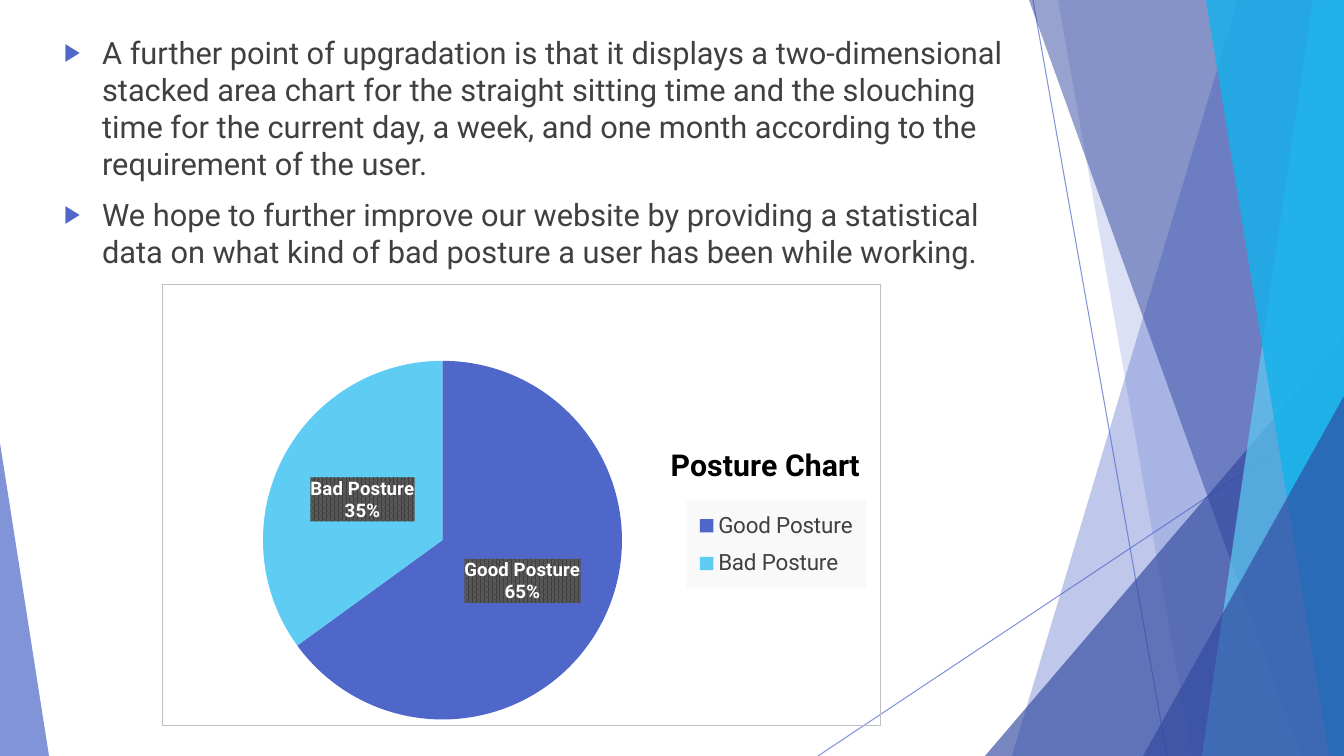
"""Posture slide: two bullet points, a pie chart and a faceted side decoration."""
from lxml import etree
from pptx import Presentation
from pptx import util as u
from pptx.chart.data import CategoryChartData
from pptx.dml.color import RGBColor
from pptx.enum import chart as ch, shapes, text
from pptx.oxml import parse_xml
from pptx.oxml.ns import nsdecls, qn

WIDTH, HEIGHT = 1344, 756
COLORS = {
    "indigo": "4E67C8", "navy": "31489F", "sky": "5ECCF3", "cyan": "12B2EB",
    "ink": "404040", "gray": "595959", "black": "000000", "white": "FFFFFF",
    "border": "BFBFBF", "legend": "F9F9F9",
}
BULLETS = [
    "A further point of upgradation is that it displays a two-dimensional stacked area chart "
    "for the straight sitting time and the slouching time for the current day, a week, and one "
    "month according to the requirement of the user.",
    "We hope to further improve our website by providing a statistical data on what kind of bad "
    "posture a user has been while working.",
]
POSTURES = {"Good Posture": (0.65, "indigo"), "Bad Posture": (0.35, "sky")}


def px(length):
    """Turn slide pixels into EMU."""
    return u.Emu(round(length * 12192000 / WIDTH))


def rgb(name):
    """Look up a named colour."""
    return RGBColor.from_string(COLORS[name])


def style_font(font, size, color, bold=False):
    """Format a font."""
    font.name, font.size, font.bold = "Roboto", u.Pt(size), bold
    font.color.rgb = rgb(color)


def write(paragraph, words, **style):
    """Add a formatted run to a paragraph."""
    run = paragraph.add_run()
    run.text = words
    style_font(run.font, **style)


def chart_fill(fill, line="<a:noFill/>"):
    """Build shape properties for a chart part."""
    return parse_xml(f'<c:spPr {nsdecls("c", "a")}>{fill}<a:ln w="9525">{line}</a:ln></c:spPr>')


def solid(name):
    """Build a solid fill element as text."""
    return f'<a:solidFill><a:srgbClr val="{COLORS[name]}"/></a:solidFill>'


def place(part, index, box, inner=False):
    """Give a chart part a manual layout in fractions of the chart."""
    for old in part.findall(qn("c:layout")):
        part.remove(old)
    target = '<c:layoutTarget val="inner"/>' if inner else ""
    modes = '<c:xMode val="edge"/><c:yMode val="edge"/>'
    values = "".join(f'<c:{key} val="{value}"/>' for key, value in zip("xywh", box))
    part.insert(index, parse_xml(
        f'<c:layout {nsdecls("c")}><c:manualLayout>{target}{modes}{values}'
        f'</c:manualLayout></c:layout>'))


class Deck:
    """Holds the presentation and its current slide."""

    def __init__(self):
        """Open a widescreen slide with a body and no title."""
        self.show = Presentation()
        self.show.slide_width, self.show.slide_height = px(WIDTH), px(HEIGHT)
        self.slide = self.show.slides.add_slide(self.show.slide_layouts[1])
        title = self.slide.shapes.title._element
        title.getparent().remove(title)

    def fade(self, shape, alpha):
        """Make the colours of a shape translucent."""
        for color in shape._element.spPr.iter(qn("a:srgbClr")):
            etree.SubElement(color, qn("a:alpha")).set("val", str(alpha * 1000))

    def paint(self, shape, color, alpha):
        """Fill a shape and drop its outline and shadow."""
        shape.shadow.inherit = False
        shape.fill.solid()
        shape.fill.fore_color.rgb = rgb(color)
        shape.line.fill.background()
        self.fade(shape, alpha)

    def ray(self, x1, y1, x2, y2):
        """Draw a thin decorative line."""
        line = self.slide.shapes.add_connector(
            shapes.MSO_CONNECTOR.STRAIGHT, px(x1), px(y1), px(x2), px(y2))
        line.line.color.rgb, line.line.width = rgb("indigo"), u.Pt(0.75)
        self.fade(line, 70)
        etree.SubElement(line._element.spPr, qn("a:effectLst"))

    def facet(self, top, bottom, color, alpha):
        """Fill the area from a slanted left edge to the slide's right edge."""
        outline = self.slide.shapes.build_freeform(px(top), 0)
        corners = [(WIDTH, 0), (WIDTH, HEIGHT), (bottom, HEIGHT)]
        outline.add_line_segments([(px(x), px(y)) for x, y in corners])
        self.paint(outline.convert_to_shape(), color, alpha)

    def wedge(self, left, top, width, tip, color, alpha):
        """Draw a right triangle that stands on the slide's bottom edge."""
        triangle = self.slide.shapes.add_shape(
            shapes.MSO_SHAPE.ISOSCELES_TRIANGLE, px(left), px(top), px(width), px(HEIGHT - top))
        triangle.adjustments[0] = tip
        self.paint(triangle, color, alpha)

    def bullets(self, points, left, top, width, height):
        """Write the bullet points into the body placeholder."""
        body = self.slide.placeholders[1]
        body.left, body.top, body.width, body.height = map(px, (left, top, width, height))
        frame = body.text_frame
        frame.word_wrap, frame.auto_size = True, text.MSO_AUTO_SIZE.NONE
        frame.vertical_anchor = text.MSO_ANCHOR.TOP
        for number, point in enumerate(points):
            paragraph = frame.add_paragraph() if number else frame.paragraphs[0]
            paragraph.space_before, paragraph.line_spacing = u.Pt(10), 1.0
            paragraph.alignment = text.PP_ALIGN.LEFT
            write(paragraph, point, size=22, color="ink")
            props = paragraph._p.get_or_add_pPr()
            props.set("marL", str(px(38)))
            props.set("indent", str(-px(38)))
            color = etree.SubElement(props, qn("a:buClr"))
            etree.SubElement(color, qn("a:srgbClr")).set("val", COLORS["indigo"])
            etree.SubElement(props, qn("a:buSzPct")).set("val", "80000")
            etree.SubElement(props, qn("a:buChar")).set("char", "▶")

    def pie(self, title, shares, left, top, width, height):
        """Add a labelled pie chart with its title and legend on the right."""
        data = CategoryChartData(number_format="0%")
        data.categories = list(shares)
        data.add_series("Series 1", [share for share, _ in shares.values()])
        chart = self.slide.shapes.add_chart(
            ch.XL_CHART_TYPE.PIE, *map(px, (left, top, width, height)), data).chart
        style_font(chart.font, size=10, color="black")
        space = chart._chartSpace
        space.find(qn("c:chart")).addnext(chart_fill("<a:noFill/>", solid("border")))
        place(space.find(".//" + qn("c:plotArea")), 0, (0.14, 0.17, 0.5, 0.82), inner=True)

        chart.has_title = True
        write(chart.chart_title.text_frame.paragraphs[0], title,
              size=21.6, color="black", bold=True)
        place(chart.chart_title._element, 1, (0.7, 0.35))

        chart.has_legend = True
        legend = chart.legend
        legend.position, legend.include_in_layout = ch.XL_LEGEND_POSITION.RIGHT, False
        style_font(legend.font, size=16, color="ink")
        place(legend._element, 1, (0.73, 0.49, 0.25, 0.2))
        legend._element.find(qn("c:overlay")).addnext(chart_fill(solid("legend")))

        plot = chart.plots[0]
        plot.vary_by_categories = True
        series = plot.series[0]
        for number, (_, color) in enumerate(shares.values()):
            fill = series.points[number].format.fill
            fill.solid()
            fill.fore_color.rgb = rgb(color)
        labels = series.data_labels
        labels.show_percentage = labels.show_category_name = True
        labels.show_value = labels.show_legend_key = False
        labels.position = ch.XL_LABEL_POSITION.CENTER
        labels.number_format, labels.number_format_is_linked = "0%", False
        style_font(labels.font, size=13.3, color="white", bold=True)
        pattern = (f'<a:pattFill prst="pct75"><a:fgClr><a:srgbClr val="{COLORS["ink"]}"/></a:fgClr>'
                   f'<a:bgClr><a:srgbClr val="{COLORS["gray"]}"/></a:bgClr></a:pattFill>')
        labels._element.find(qn("c:numFmt")).addnext(chart_fill(pattern))


def main():
    """Build the slide and save it."""
    deck = Deck()
    deck.ray(1033, 0, 1167, HEIGHT)
    deck.ray(WIDTH, 406, 818, HEIGHT)
    deck.facet(1238, 1012, "indigo", 36)
    deck.facet(1058, 1192, "indigo", 20)
    deck.wedge(985, 336, 359, 1, "navy", 66)
    deck.facet(1029, 1301, "navy", 50)
    deck.facet(1313, 1202, "sky", 70)
    deck.facet(1206, 1329, "cyan", 80)
    deck.wedge(1143, 396, 201, 1, "navy", 66)
    deck.wedge(0, 443, 49, 0, "indigo", 70)
    deck.bullets(BULLETS, 54, 29, 983, 175)
    deck.pie("Posture Chart", POSTURES, 162, 284, 719, 442)
    deck.show.save("out.pptx")


if __name__ == "__main__":
    main()
